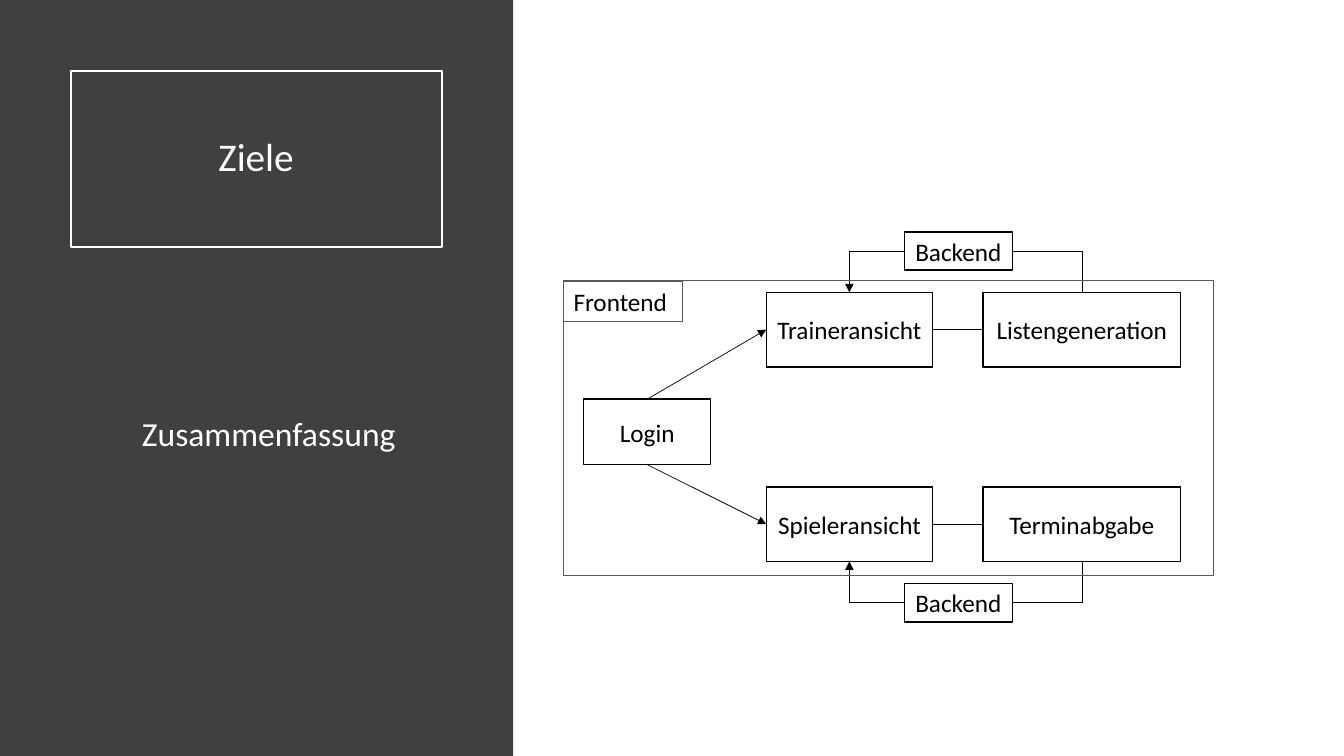
from dataclasses import dataclass
from typing import Optional

import pptx
import pptx.dml.color
import pptx.enum.shapes
import pptx.enum.text
import pptx.oxml
import pptx.oxml.ns
import pptx.util
from pptx.util import Inches

WHITE = pptx.dml.color.RGBColor(0xFF, 0xFF, 0xFF)
BLACK = pptx.dml.color.RGBColor(0x00, 0x00, 0x00)
PANEL_GREY = pptx.dml.color.RGBColor(0x40, 0x40, 0x40)
FRAME_GREY = pptx.dml.color.RGBColor(0x59, 0x59, 0x59)

RECTANGLE = pptx.enum.shapes.MSO_SHAPE.RECTANGLE
STRAIGHT = pptx.enum.shapes.MSO_CONNECTOR.STRAIGHT
ELBOW = pptx.enum.shapes.MSO_CONNECTOR.ELBOW
MIDDLE = pptx.enum.text.MSO_ANCHOR.MIDDLE
TOP_ANCHOR = pptx.enum.text.MSO_ANCHOR.TOP
CENTER = pptx.enum.text.PP_ALIGN.CENTER
LEFT_ALIGN = pptx.enum.text.PP_ALIGN.LEFT
TOP, LEFT, BOTTOM, RIGHT = range(4)


@dataclass
class Node:
    key: str
    text: str
    left: float
    top: float
    width: float
    height: float


@dataclass
class Link:
    start: str
    start_side: int
    end: str
    end_side: int
    arrow: bool = False
    bent: bool = False


NODES = [
    Node("login", "Login", 5.79, 3.96, 1.26, 0.65),
    Node("trainer", "Traineransicht", 7.6, 2.9, 1.65, 0.74),
    Node("lists", "Listengeneration", 9.75, 2.9, 1.96, 0.74),
    Node("player", "Spieleransicht", 7.6, 4.83, 1.65, 0.74),
    Node("dates", "Terminabgabe", 9.75, 4.83, 1.96, 0.74),
    Node("backend_top", "Backend", 8.97, 2.3, 1.07, 0.38),
    Node("backend_bottom", "Backend", 8.97, 5.79, 1.07, 0.38),
]

LINKS = [
    Link("login", TOP, "trainer", LEFT, arrow=True),
    Link("login", BOTTOM, "player", LEFT, arrow=True),
    Link("trainer", RIGHT, "lists", LEFT),
    Link("player", RIGHT, "dates", LEFT),
    Link("backend_bottom", RIGHT, "dates", BOTTOM, bent=True),
    Link("backend_bottom", LEFT, "player", BOTTOM, arrow=True, bent=True),
    Link("backend_top", RIGHT, "lists", TOP, bent=True),
    Link("backend_top", LEFT, "trainer", TOP, arrow=True, bent=True),
]


def write(shape, text: str, size: float, color, align=CENTER, anchor=MIDDLE,
          wrap: bool = True):
    """Fill a shape with one formatted paragraph and return the paragraph."""
    frame = shape.text_frame
    frame.text = text
    frame.word_wrap = wrap
    frame.vertical_anchor = anchor
    paragraph = frame.paragraphs[0]
    paragraph.alignment = align
    paragraph.font.name = "Calibri"
    paragraph.font.size = pptx.util.Pt(size)
    paragraph.font.color.rgb = color
    return paragraph


def add_box(slide, left: float, top: float, width: float, height: float,
            fill=None, line=None, line_width: float = 1):
    box = slide.shapes.add_shape(RECTANGLE, Inches(left), Inches(top),
                                 Inches(width), Inches(height))
    box.shadow.inherit = False
    if fill is None:
        box.fill.background()
    else:
        box.fill.solid()
        box.fill.fore_color.rgb = fill
    if line is None:
        box.line.fill.background()
    else:
        box.line.color.rgb = line
        box.line.width = pptx.util.Pt(line_width)
    return box


def add_link(slide, link: Link, boxes: dict) -> None:
    connector = slide.shapes.add_connector(ELBOW if link.bent else STRAIGHT, 0, 0, 0, 0)
    connector.begin_connect(boxes[link.start], link.start_side)
    connector.end_connect(boxes[link.end], link.end_side)
    connector.line.color.rgb = BLACK
    connector.line.width = pptx.util.Pt(0.5)
    properties = connector._element.spPr
    if link.bent:  # one corner, leaving horizontally
        properties.find(pptx.oxml.ns.qn("a:prstGeom")).set("prst", "bentConnector2")
    if link.arrow:
        head: Optional[object] = pptx.oxml.parse_xml(
            f'<a:tailEnd {pptx.oxml.ns.nsdecls("a")} type="triangle"/>')
        properties.find(pptx.oxml.ns.qn("a:ln")).append(head)
    properties.append(pptx.oxml.parse_xml(
        f'<a:effectLst {pptx.oxml.ns.nsdecls("a")}/>'))


def main() -> None:
    presentation = pptx.Presentation()
    presentation.slide_width = Inches(13.33)
    presentation.slide_height = Inches(7.5)
    slide = presentation.slides.add_slide(presentation.slide_layouts[5])

    # Dark side panel, placed behind the title
    panel = add_box(slide, 0, 0, 5.09, 7.5, fill=PANEL_GREY)
    slide.shapes._spTree.insert(2, panel._element)

    # Framed title
    title = slide.shapes.title
    title.left, title.top = Inches(0.7), Inches(0.7)
    title.width, title.height = Inches(3.68), Inches(1.75)
    title.line.color.rgb = WHITE
    title.line.width = pptx.util.Pt(1.5)
    write(title, "Ziele", 28, WHITE).line_spacing = 0.9

    # Summary text
    summary = slide.shapes.add_textbox(Inches(0.7), Inches(2.45),
                                       Inches(3.68), Inches(3.74))
    summary_line = write(summary, "Zusammenfassung", 24, WHITE)
    summary_line.line_spacing = 0.9
    summary_line.space_after = pptx.util.Pt(6)
    indent = summary_line._p.get_or_add_pPr()
    indent.set("marL", str(Inches(0.25)))
    indent.set("indent", "0")

    # Flow diagram
    boxes = {}
    for node in NODES:
        boxes[node.key] = add_box(slide, node.left, node.top, node.width,
                                  node.height, fill=WHITE, line=BLACK)
        write(boxes[node.key], node.text, 18, BLACK, wrap=False)
    for link in LINKS:
        add_link(slide, link, boxes)

    # Frontend frame and its label
    add_box(slide, 5.59, 2.78, 6.45, 2.93, line=FRAME_GREY, line_width=0.75)
    frontend = add_box(slide, 5.59, 2.79, 1.18, 0.4, line=FRAME_GREY, line_width=0.75)
    write(frontend, "Frontend", 18, BLACK, align=LEFT_ALIGN, anchor=TOP_ANCHOR)

    presentation.save("out.pptx")


if __name__ == "__main__":
    main()
